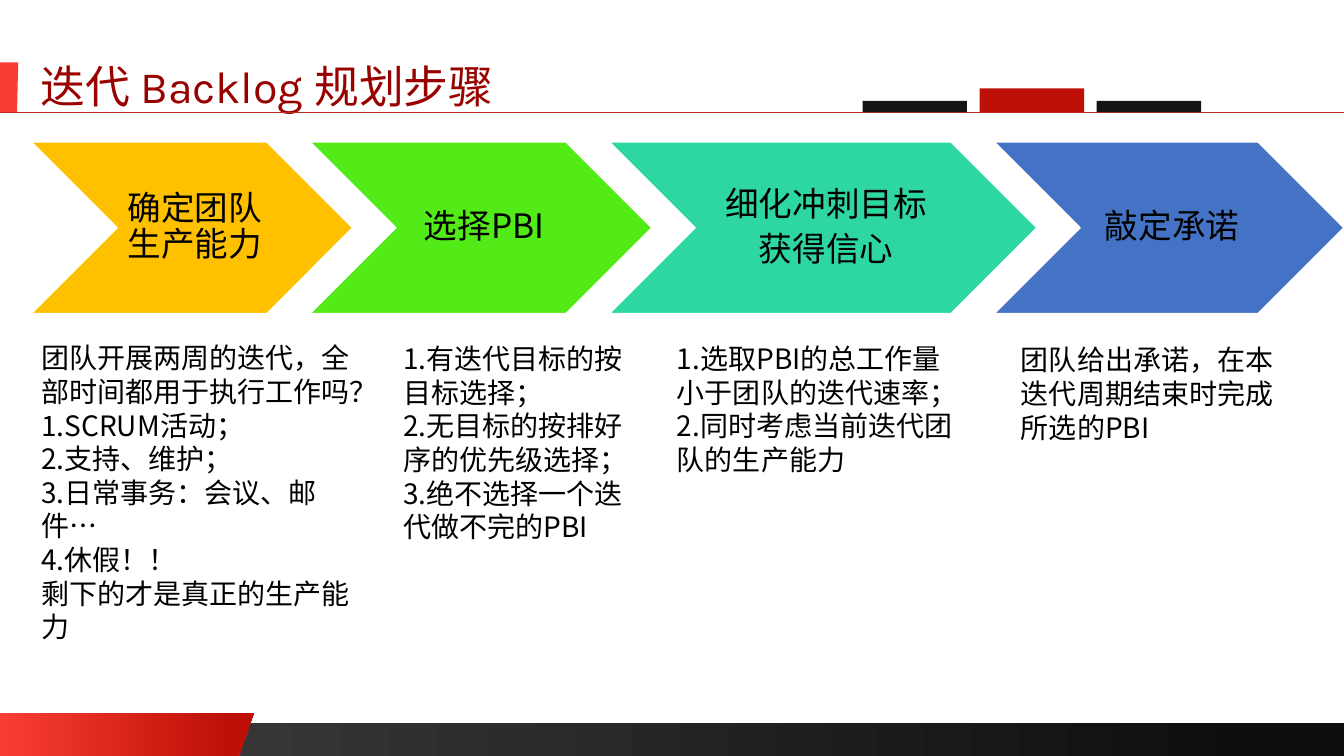
import pptx
import pptx.dml.color
import pptx.enum.shapes
import pptx.enum.text
import pptx.oxml.ns
import pptx.util
from lxml import etree

Cm = pptx.util.Cm
Pt = pptx.util.Pt
SHAPE = pptx.enum.shapes.MSO_SHAPE
ALIGN = pptx.enum.text.PP_ALIGN
ANCHOR = pptx.enum.text.MSO_ANCHOR

COLOURS = {
    "title": "990000", "text": "000000", "white": "FFFFFF",
    "bright": "F93D32", "red": "BE1007", "rule": "B82E24",
    "block": "141316", "grey": "404040", "dark": "0D0D0D",
    "amber": "FFC000", "green": "53EB17", "teal": "2ED7A1", "blue": "4472C4",
}
PAGE_WIDTH, PAGE_HEIGHT = 33.87, 19.05
CJK_FONT = "Noto Sans CJK SC"

STEPS = [
    (8.1, "amber", ["确定团队生产能力"]),
    (8.61, "green", ["选择PBI"]),
    (10.77, "teal", ["细化冲刺目标", "获得信心"]),
    (8.81, "blue", ["敲定承诺"]),
]
DETAILS = [
    (0.79, 8.46, 8.81, 7.09, [
        "团队开展两周的迭代，全部时间都用于执行工作吗？", "1.SCRUM活动；", "2.支持、维护；",
        "3.日常事务：会议、邮件…", "4.休假！！", "剩下的才是真正的生产能力"]),
    (9.91, 8.48, 6.63, 5.38, [
        "1.有迭代目标的按目标选择；", "2.无目标的按排好序的优先级选择；",
        "3.绝不选择一个迭代做不完的PBI"]),
    (16.81, 8.48, 7.57, 3.68, [
        "1.选取PBI的总工作量小于团队的迭代速率；", "2.同时考虑当前迭代团队的生产能力"]),
    (25.48, 8.51, 6.96, 2.82, ["团队给出承诺，在本迭代周期结束时完成所选的PBI"]),
]


def colour(name):
    """Return the named colour."""
    return pptx.dml.color.RGBColor.from_string(COLOURS[name])


def paint(shape, fill, end=None, stop=1.0):
    """Fill a shape flat, or left to right when an end colour is given."""
    shape.shadow.inherit = False
    shape.line.fill.background()
    if end is None:
        shape.fill.solid()
        shape.fill.fore_color.rgb = colour(fill)
        return
    shape.fill.gradient()
    shape.fill.gradient_angle = 0
    for mark, position, name in zip(shape.fill.gradient_stops, (0, stop), (fill, end)):
        mark.position = position
        mark.color.rgb = colour(name)


def add_block(page, kind, left, top, width, height):
    """Add a preset shape with its box in centimetres."""
    return page.shapes.add_shape(kind, Cm(left), Cm(top), Cm(width), Cm(height))


def add_slanted(page, left, top, width, height, slant):
    """Add a block whose right edge leans inwards towards the bottom."""
    right, bottom = left + width, top + height
    builder = page.shapes.build_freeform(Cm(left), Cm(top))
    corners = [(right, top), (right - slant, bottom), (left, bottom)]
    builder.add_line_segments([(Cm(x), Cm(y)) for x, y in corners], close=True)
    return builder.convert_to_shape()


def add_text(page, left, top, width, height, lines, size, tint="text", font=CJK_FONT,
             align=ALIGN.LEFT, anchor=ANCHOR.TOP, margins=(0.25, 0.13, 0.25, 0.13),
             spacing=1.0, after=0):
    """Add a wrapped text box with one paragraph per line."""
    box = page.shapes.add_textbox(Cm(left), Cm(top), Cm(width), Cm(height))
    frame = box.text_frame
    frame.word_wrap = True
    frame.vertical_anchor = anchor
    (frame.margin_left, frame.margin_top,
     frame.margin_right, frame.margin_bottom) = [Cm(margin) for margin in margins]
    for index, line in enumerate(lines):
        para = frame.add_paragraph() if index else frame.paragraphs[0]
        para.alignment = align
        para.line_spacing = spacing
        para.space_after = Pt(after)
        span = para.add_run()
        span.text = line
        span.font.size = Pt(size)
        span.font.name = font
        span.font.color.rgb = colour(tint)
        east = etree.SubElement(span.font._element, pptx.oxml.ns.qn("a:ea"))
        east.set("typeface", CJK_FONT)


def draw_footer(page, top, height):
    """Draw the dark bar and the taller red tab at the foot of the page."""
    paint(add_block(page, SHAPE.RECTANGLE, 0, top, PAGE_WIDTH, height), "grey", "dark", 0.94)
    paint(add_slanted(page, 0, top - 0.25, 6.4, height + 0.25, 0.38), "bright", "red", 0.91)


def draw_header(page, left, top, base):
    """Draw the title, its red marker, the rule and the blocks standing on it."""
    paint(add_slanted(page, 0, top + 0.33, 0.46, 1.26, 0.03), "bright")
    add_text(page, left, top, 29.21, 1.73, ["迭代 Backlog 规划步骤"], 32, "title", "Karla",
             margins=(0.23, 0.11, 0.23, 0.11), spacing=1.1)
    rule = page.shapes.add_connector(
        pptx.enum.shapes.MSO_CONNECTOR.STRAIGHT, 0, Cm(base), Cm(PAGE_WIDTH), Cm(base))
    rule.line.color.rgb = colour("rule")
    rule.line.width = Pt(0.5)
    etree.SubElement(rule._element.spPr, pptx.oxml.ns.qn("a:effectLst"))
    for index, (height, fill) in enumerate([(0.29, "block"), (0.6, "red"), (0.29, "block")]):
        block = add_block(page, SHAPE.RECTANGLE, 21.74 + index * 2.95, base - height, 2.63, height)
        paint(block, fill)


def draw_steps(page, left, top, height):
    """Draw the row of chevrons, each tucked into the one before it."""
    notch, overlap = height / 2, 1.07
    for width, fill, lines in STEPS:
        chevron = add_block(page, SHAPE.CHEVRON, left, top, width, height)
        paint(chevron, fill)
        chevron.line.color.rgb = colour("white")
        chevron.line.width = Pt(1)
        add_text(page, left + notch, top, width - 2 * notch, height, lines, 24,
                 align=ALIGN.CENTER, anchor=ANCHOR.MIDDLE,
                 margins=(0.25, 0.1, 0.1, 0.1), spacing=0.9, after=6)
        left += width - overlap


def draw_details(page):
    """Write the notes below the chevrons."""
    for left, top, width, height, lines in DETAILS:
        add_text(page, left, top, width, height, lines, 20)


def main():
    """Build the slide and save it."""
    deck = pptx.Presentation()
    deck.slide_width, deck.slide_height = Cm(PAGE_WIDTH), Cm(PAGE_HEIGHT)
    page = deck.slides.add_slide(deck.slide_layouts[6])
    draw_footer(page, 18.21, 0.84)
    draw_header(page, 0.79, 1.24, 2.83)
    draw_steps(page, 0.79, 3.58, 4.32)
    draw_details(page)
    deck.save("out.pptx")


if __name__ == "__main__":
    main()
